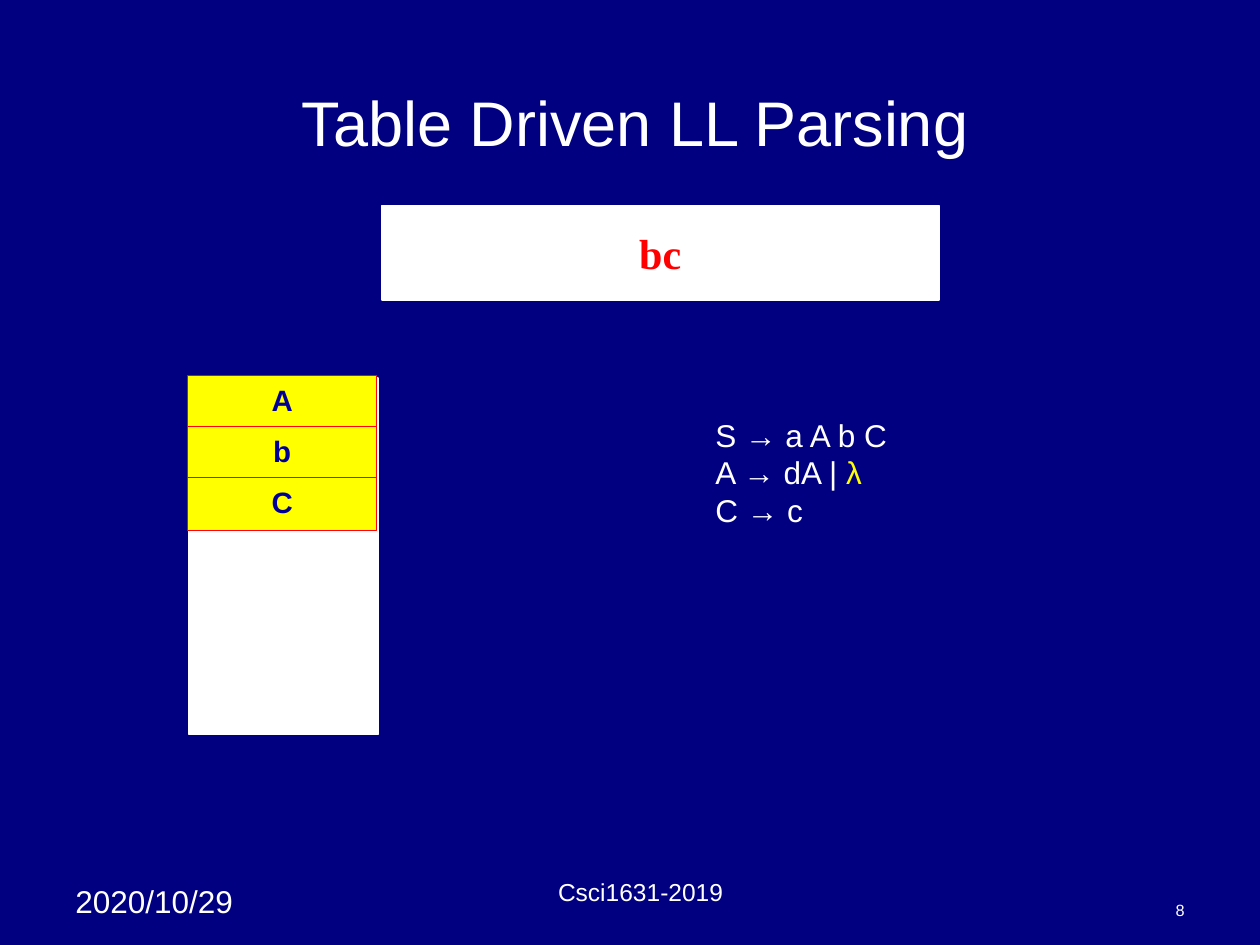
from dataclasses import dataclass

from pptx import Presentation
from pptx.dml.color import RGBColor
from pptx.enum.shapes import MSO_SHAPE
from pptx.enum.text import MSO_ANCHOR, MSO_AUTO_SIZE, PP_ALIGN
from pptx.util import Inches, Pt


@dataclass(frozen=True)
class Theme:
    background: RGBColor = RGBColor(0x00, 0x00, 0x80)
    white: RGBColor = RGBColor(0xFF, 0xFF, 0xFF)
    red: RGBColor = RGBColor(0xFF, 0x00, 0x00)
    yellow: RGBColor = RGBColor(0xFF, 0xFF, 0x00)
    symbol: RGBColor = RGBColor(0x00, 0x00, 0x99)
    sans: str = "Arial"
    serif: str = "Times New Roman"
    title_size: float = 36
    input_size: float = 24
    text_size: float = 18
    symbol_size: float = 16.8
    footer_size: float = 14
    number_size: float = 9.3


theme = Theme()


def style_text(part, size, color, align, anchor, face=theme.sans, bold=False, wrap=True):
    frame = part.text_frame
    frame.word_wrap = wrap
    frame.auto_size = MSO_AUTO_SIZE.NONE
    frame.vertical_anchor = anchor
    for paragraph in frame.paragraphs:
        paragraph.alignment = align
        for run in paragraph.runs:
            run.font.name = face
            run.font.size = Pt(size)
            run.font.bold = bold
            run.font.color.rgb = color


def add_box(left, top, width, height, fill, outline, weight):
    box = slide.shapes.add_shape(
        MSO_SHAPE.RECTANGLE, Inches(left), Inches(top), Inches(width), Inches(height)
    )
    box.shadow.inherit = False
    box.fill.solid()
    box.fill.fore_color.rgb = fill
    box.line.color.rgb = outline
    box.line.width = Pt(weight)
    return box


presentation = Presentation()
presentation.slide_width = Inches(10)
presentation.slide_height = Inches(7.5)
slide = presentation.slides.add_slide(presentation.slide_layouts[5])
slide.background.fill.solid()
slide.background.fill.fore_color.rgb = theme.background

title = slide.shapes.title
title.left, title.top = Inches(0.58), Inches(0.5)
title.width, title.height = Inches(8.92), Inches(0.92)
title.text_frame.text = "Table Driven LL Parsing"
style_text(title, theme.title_size, theme.white, PP_ALIGN.CENTER, MSO_ANCHOR.MIDDLE)

footers = [
    ("2020/10/29", 0.5, 6.95, 1.58, 0.4, theme.text_size, PP_ALIGN.LEFT, MSO_ANCHOR.TOP),
    ("Csci1631-2019", 3.5, 6.97, 3.17, 0.27, theme.footer_size, PP_ALIGN.CENTER, MSO_ANCHOR.BOTTOM),
    ("8", 7.17, 7.08, 2.33, 0.27, theme.number_size, PP_ALIGN.RIGHT, MSO_ANCHOR.BOTTOM),
]
for wording, left, top, width, height, size, align, anchor in footers:
    footer = slide.shapes.add_textbox(Inches(left), Inches(top), Inches(width), Inches(height))
    footer.text_frame.text = wording
    style_text(footer, size, theme.white, align, anchor)

stack = add_box(1.5, 3, 1.5, 2.83, theme.white, theme.white, 1)

remaining_input = add_box(3.03, 1.63, 4.42, 0.75, theme.white, theme.white, 1)
remaining_input.text_frame.text = "bc"
style_text(remaining_input, theme.input_size, theme.red, PP_ALIGN.CENTER,
           MSO_ANCHOR.MIDDLE, theme.serif, bold=True, wrap=False)

grammar = slide.shapes.add_textbox(Inches(5.58), Inches(3.25), Inches(1.59), Inches(1))
grammar.text_frame.text = "S → a A b C\nA → dA | \nC → c"
empty_string = grammar.text_frame.paragraphs[1].add_run()
empty_string.text = "λ"
style_text(grammar, theme.text_size, theme.white, PP_ALIGN.LEFT, MSO_ANCHOR.TOP, wrap=False)
empty_string.font.color.rgb = theme.yellow

for row, symbol in enumerate("AbC"):
    entry = add_box(1.49, 2.98 + 0.405 * row, 1.5, 0.42, theme.yellow, theme.red, 0.75)
    entry.text_frame.text = symbol
    style_text(entry, theme.symbol_size, theme.symbol, PP_ALIGN.CENTER, MSO_ANCHOR.TOP, bold=True)

presentation.save("out.pptx")
